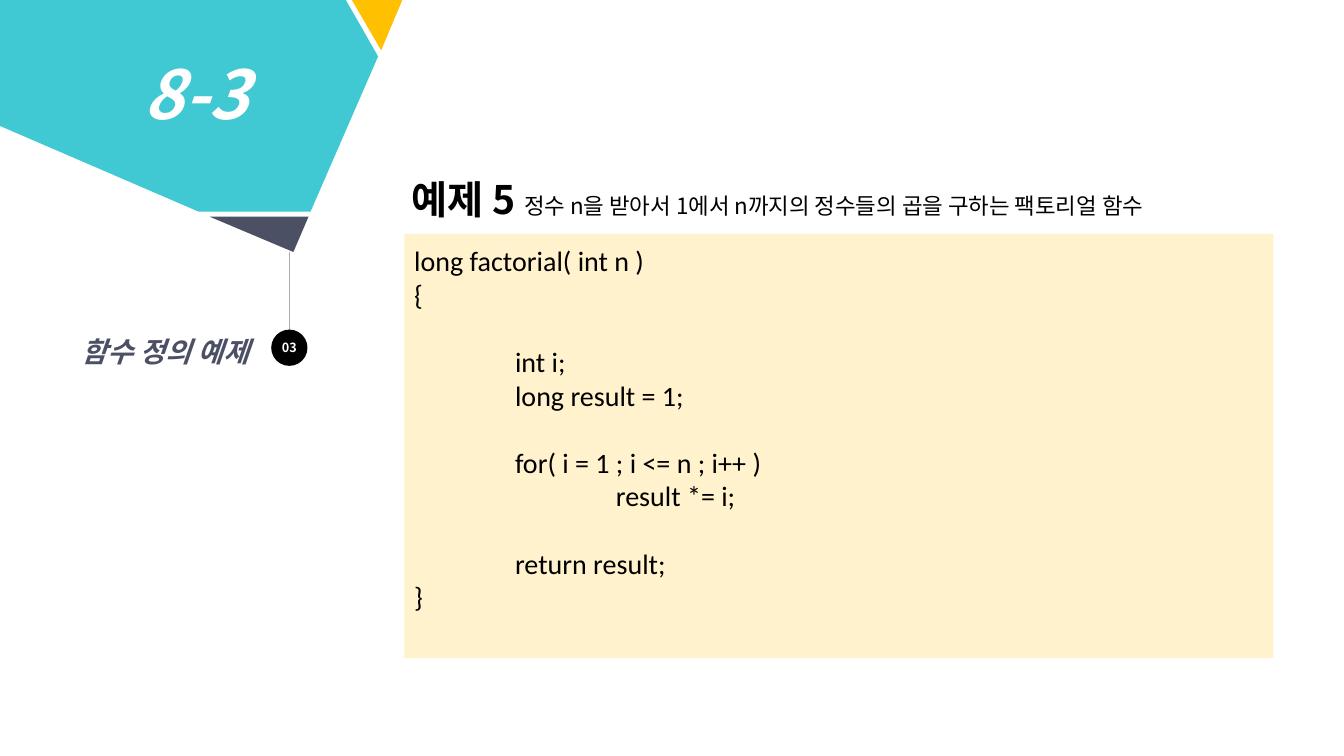
import pptx
import pptx.util
import pptx.dml.color
import pptx.enum.shapes
import pptx.enum.text
import pptx.oxml.ns
import lxml.etree
from dataclasses import dataclass

Inches = pptx.util.Inches
Pt = pptx.util.Pt
Align = pptx.enum.text.PP_ALIGN
Anchor = pptx.enum.text.MSO_ANCHOR
Kind = pptx.enum.shapes.MSO_SHAPE


@dataclass(frozen=True)
class Theme:
    teal: str = "41C9D3"
    gold: str = "FFC000"
    slate: str = "4C5064"
    cream: str = "FFF2CC"
    gray: str = "AFABAB"
    black: str = "000000"
    white: str = "FFFFFF"
    code: str = "Calibri"
    sans: str = "Noto Sans CJK KR"
    tiny: int = 9
    note: int = 16
    body: int = 20
    head: int = 28
    huge: int = 48
    line: int = 24


THEME = Theme()

CODE = """long factorial( int n )
{

\tint i;
\tlong result = 1;

\tfor( i = 1 ; i <= n ; i++ )
\t\tresult *= i;

\treturn result;
}"""

GEMS = [
    (THEME.gold, [(3.49, 0), (4.01, 0), (3.99, 0), (3.78, 0.5)]),
    (THEME.teal, [(0, 0), (3.43, 0), (3.75, 0.56), (3.08, 2.1), (1.97, 2.1), (0, 1.25)]),
    (THEME.slate, [(2.08, 2.15), (3.06, 2.15), (2.91, 2.5)]),
]


def rgb(color):
    return pptx.dml.color.RGBColor.from_string(color)


def add_child(parent, tag):
    return lxml.etree.SubElement(parent, pptx.oxml.ns.qn(tag))


def paint(shape, color):
    shape.shadow.inherit = False
    shape.fill.solid()
    shape.fill.fore_color.rgb = rgb(color)
    shape.line.fill.background()
    return shape


def add_run(para, text, size, color, face=THEME.sans, bold=False, slant=False):
    run = para.add_run()
    run.text = text
    font = run.font
    font.size = Pt(size)
    font.name = face
    font.bold = bold
    font.italic = slant
    font.color.rgb = rgb(color)
    font._element.set("kern", "0")
    add_child(font._element, "a:ea").set("typeface", face)


def add_tabs(para, count):
    stops = add_child(para._p.get_or_add_pPr(), "a:tabLst")
    for step in range(1, count + 1):
        stop = add_child(stops, "a:tab")
        stop.set("pos", str(Inches(step)))
        stop.set("algn", "l")


def add_gem(slide, color, points):
    spots = [(Inches(x), Inches(y)) for x, y in points]
    form = slide.shapes.build_freeform(*spots[0], scale=1.0)
    form.add_line_segments(spots[1:], close=True)
    paint(form.convert_to_shape(), color)


def add_box(slide, kind, place, color, pads):
    shape = slide.shapes.add_shape(kind, *map(Inches, place))
    frame = paint(shape, color).text_frame
    frame.word_wrap = True
    frame.vertical_anchor = Anchor.MIDDLE
    frame.margin_left, frame.margin_top, frame.margin_right, frame.margin_bottom = map(Inches, pads)
    return frame


def add_label(slide, place, align=Align.LEFT, wrap=False):
    frame = slide.shapes.add_textbox(*map(Inches, place)).text_frame
    frame.word_wrap = wrap
    para = frame.paragraphs[0]
    para.alignment = align
    return para


def add_code(slide):
    frame = add_box(slide, Kind.RECTANGLE, (4.01, 2.32, 8.62, 4.21), THEME.cream, (0.1, 0, 0.1, 0.35))
    para = frame.paragraphs[0]
    gap = False
    for row, text in enumerate(CODE.split("\n")):
        if not text:
            gap = True
            continue
        if row:
            para = frame.add_paragraph()
        add_tabs(para, 2)
        para.alignment = Align.LEFT
        if gap:
            para.space_before = Pt(THEME.line)
        gap = False
        add_run(para, text, THEME.body, THEME.black, THEME.code)


def add_stem(slide):
    stem = slide.shapes.add_connector(
        pptx.enum.shapes.MSO_CONNECTOR.STRAIGHT,
        Inches(2.87), Inches(2.5), Inches(2.87), Inches(3.63))
    stem.line.color.rgb = rgb(THEME.gray)
    stem.line.width = Pt(0.5)
    add_child(stem._element.spPr, "a:effectLst")


def add_badge(slide):
    frame = add_box(slide, Kind.OVAL, (2.69, 3.27, 0.36, 0.36), THEME.black, (0, 0, 0, 0))
    para = frame.paragraphs[0]
    para.alignment = Align.CENTER
    add_run(para, "03", THEME.tiny, THEME.white, bold=True)


def main():
    deck = pptx.Presentation()
    deck.slide_width = Inches(13.33)
    deck.slide_height = Inches(7.5)
    slide = deck.slides.add_slide(deck.slide_layouts[6])

    add_code(slide)
    add_stem(slide)
    for color, points in GEMS:
        add_gem(slide, color, points)
    add_badge(slide)

    topic = add_label(slide, (0.16, 3.27, 2.41, 0.44), Align.RIGHT, True)
    add_run(topic, "함수 정의 예제", THEME.body, THEME.slate, bold=True, slant=True)

    unit = add_label(slide, (1.33, 0.47, 1.26, 0.91))
    add_run(unit, "8-3", THEME.huge, THEME.white, bold=True, slant=True)

    title = add_label(slide, (3.98, 1.69, 8.42, 0.57))
    add_run(title, "예제 5 ", THEME.head, THEME.black, bold=True)
    add_run(title, "정수 n을 받아서 1에서 n까지의 정수들의 곱을 구하는 팩토리얼 함수", THEME.note, THEME.black)

    deck.save("out.pptx")


if __name__ == "__main__":
    main()
